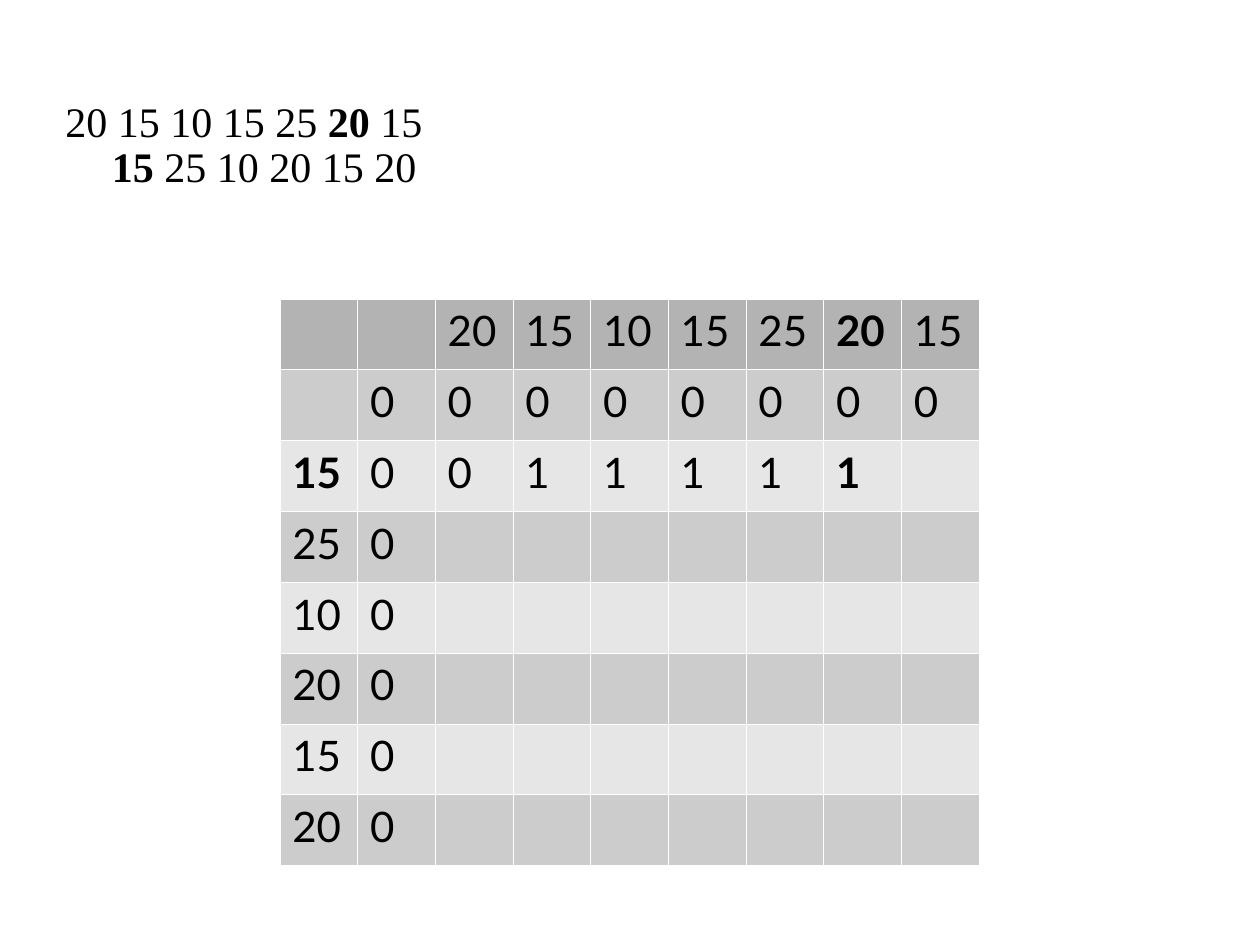
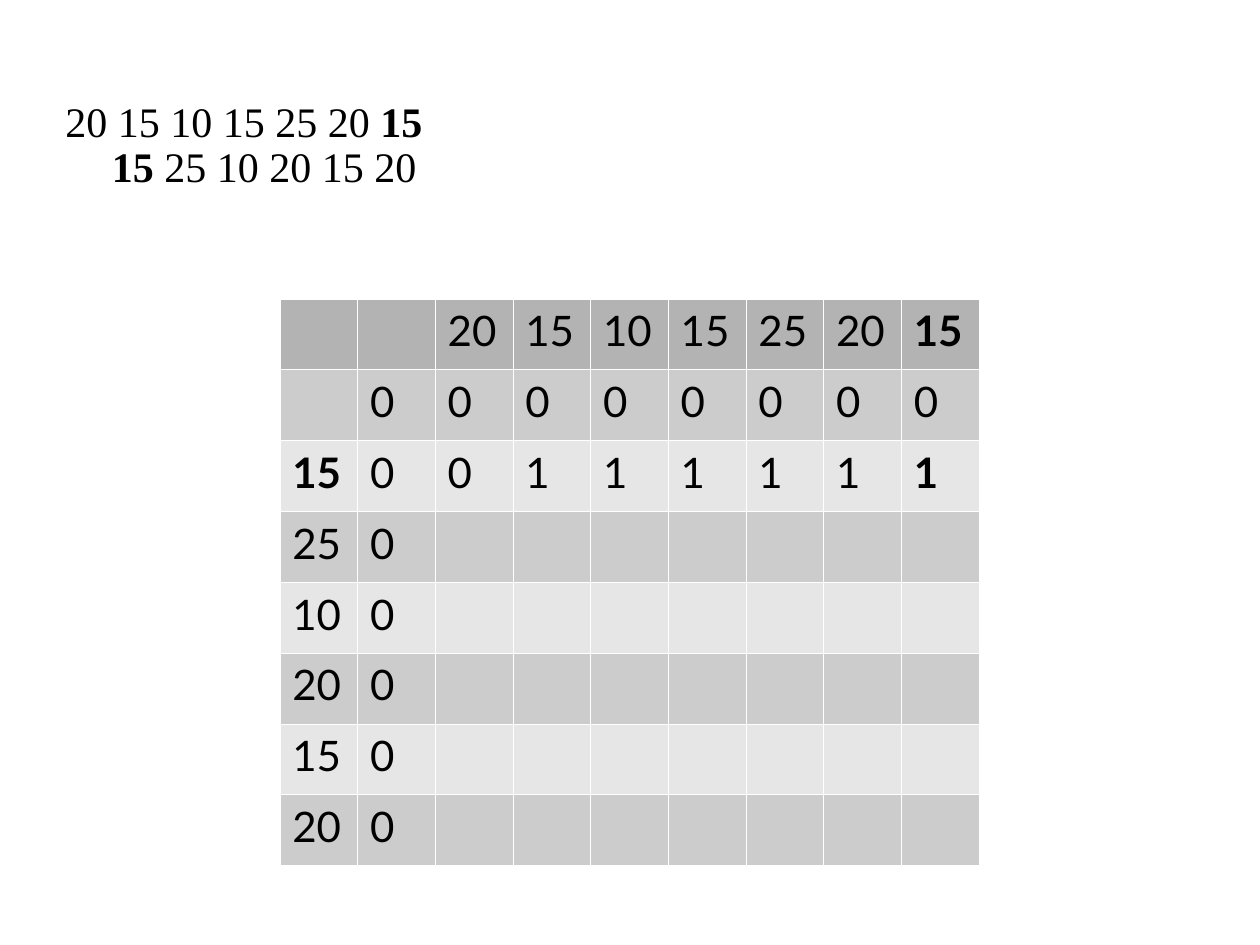
from lxml.etree import SubElement
from pptx import Presentation
from pptx.dml.color import RGBColor
from pptx.oxml.ns import qn
from pptx.util import Inches, Pt

# Shared look
TEXT_FONT, TABLE_FONT = "Times New Roman", "Lato"
BLACK, WHITE = "000000", "FFFFFF"
HEADER_FILL, BAND_FILLS = "B3B3B3", ("CCCCCC", "E6E6E6")
BORDER_WIDTH = Pt(0.06)

# The two sequences being compared
ACROSS = ["20", "15", "10", "15", "25", "20", "15"]
DOWN = ["15", "25", "10", "20", "15", "20"]


def color(hex_code):
    return RGBColor.from_string(hex_code)


def add_span(para, text, font=TEXT_FONT, bold=False):
    span = para.add_run()
    span.text = text
    span.font.name = font
    span.font.size = Pt(24)
    span.font.bold = bold
    span.font.color.rgb = color(BLACK)


def add_sequence(para, values, current):
    """Write the values on one line with the current one in bold."""
    before = "".join(value + " " for value in values[:current])
    after = "".join(" " + value for value in values[current + 1:])
    for text, bold in ((before, False), (values[current], True), (after, False)):
        if text:
            add_span(para, text, bold=bold)


def add_sequences(page, column):
    box = page.shapes.add_textbox(Inches(0.42), Inches(0.75), Inches(8.83), Inches(6.15))
    box.text_frame.word_wrap = True
    para = box.text_frame.paragraphs[0]
    para.line_spacing = 0.9
    # Hanging indent sets the second sequence to the right
    indent = Inches(0.37)
    properties = para._p.get_or_add_pPr()
    properties.set("marL", str(indent))
    properties.set("indent", str(-indent))
    add_sequence(para, ACROSS, column)
    para.add_line_break()
    add_sequence(para, DOWN, 0)


def set_borders(cell):
    properties = cell._tc.get_or_add_tcPr()
    for index, side in enumerate(("a:lnL", "a:lnR", "a:lnT", "a:lnB")):
        line = properties.makeelement(qn(side), {"w": str(BORDER_WIDTH)})
        properties.insert(index, line)
        fill = SubElement(line, qn("a:solidFill"))
        SubElement(fill, qn("a:srgbClr"), val=WHITE)


def grid_values(column):
    """Return the table rows, with the first row of lengths filled up to column."""
    lengths = [str(int(DOWN[0] in ACROSS[:end + 1])) for end in range(column + 1)]
    lengths += [""] * (len(ACROSS) - len(lengths))
    blanks = [""] * len(ACROSS)
    rows = [["", ""] + ACROSS, ["", "0"] + ["0"] * len(ACROSS)]
    for index, value in enumerate(DOWN):
        rows.append([value, "0"] + (blanks if index else lengths))
    return rows


def add_length_table(page, column):
    values = grid_values(column)
    row_count, column_count = len(values), len(values[0])
    frame = page.shapes.add_table(row_count, column_count, Inches(2.22), Inches(2.37),
                                  Inches(5.55), Inches(4.5))
    table = frame.table
    # Current column head, current row head and the cell where they meet
    bold_cells = {(0, column + 2), (2, 0), (2, column + 2)}
    for row, texts in enumerate(values):
        for col, text in enumerate(texts):
            cell = table.cell(row, col)
            cell.fill.solid()
            cell.fill.fore_color.rgb = color(BAND_FILLS[(row - 1) % 2] if row else HEADER_FILL)
            set_borders(cell)
            if text:
                para = cell.text_frame.paragraphs[0]
                para.line_spacing = 1.01
                add_span(para, text, font=TABLE_FONT, bold=(row, col) in bold_cells)


def main():
    deck = Presentation()
    deck.slide_width, deck.slide_height = Inches(10), Inches(7.5)
    # One slide for each step along the first row
    for column in (5, 6):
        page = deck.slides.add_slide(deck.slide_layouts[6])
        add_sequences(page, column)
        add_length_table(page, column)
    deck.save("out.pptx")


if __name__ == "__main__":
    main()
